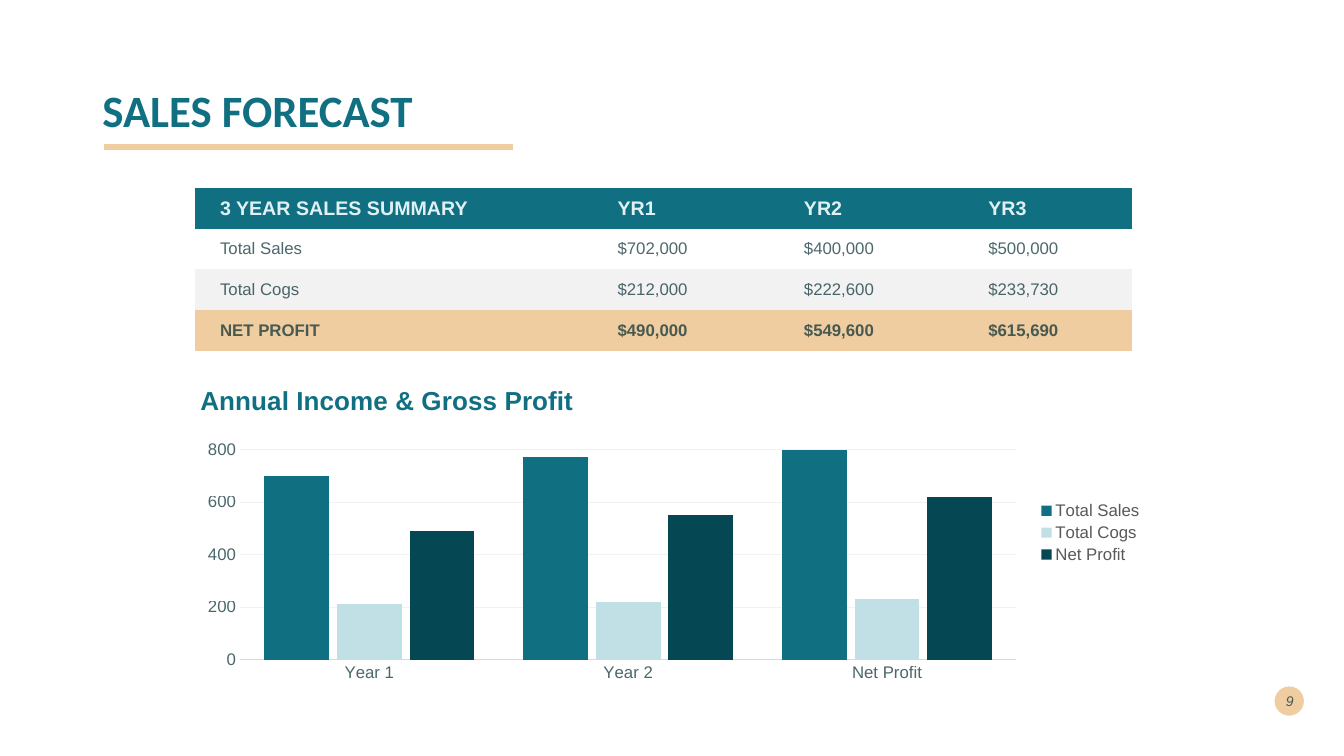
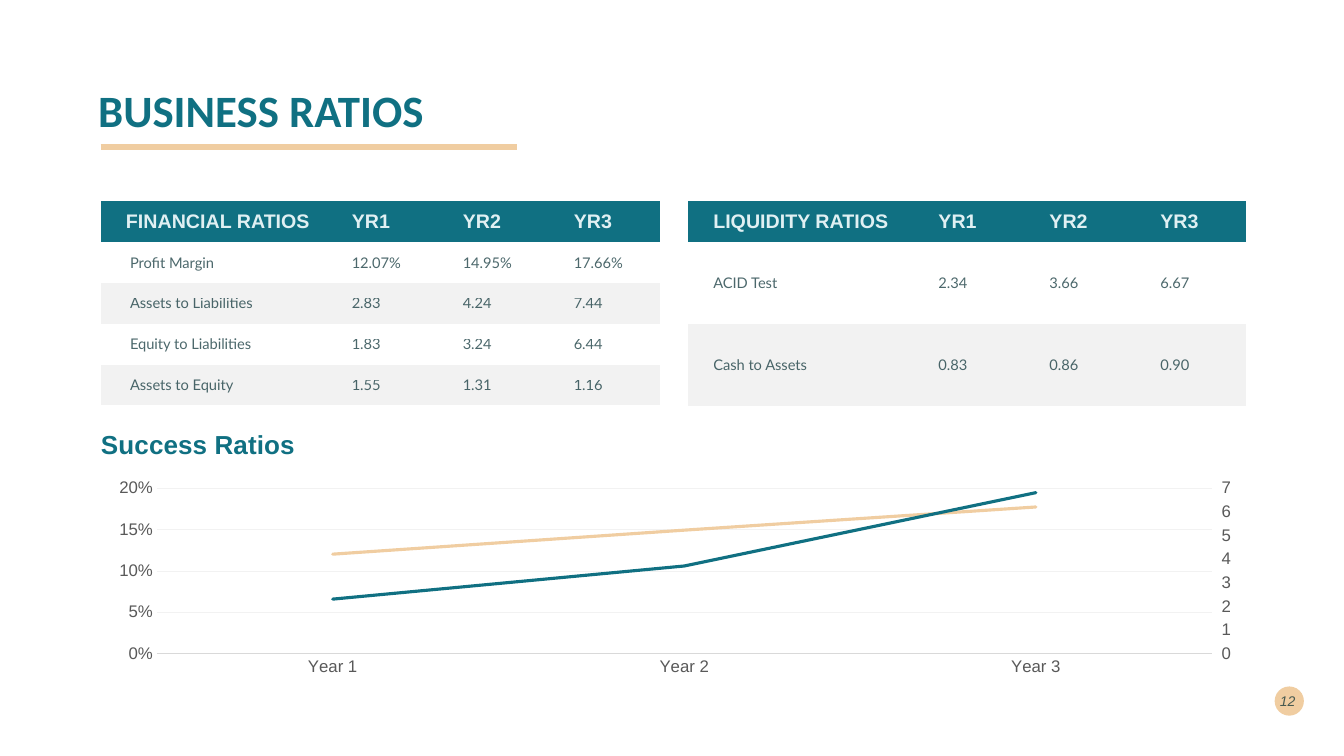
import copy
from dataclasses import dataclass
from typing import Any, Optional

import pptx
import pptx.chart.data
import pptx.dml.color
import pptx.enum.chart
import pptx.enum.shapes
import pptx.enum.text
import pptx.oxml.ns
import pptx.util

WIDE, HIGH = 13.33, 7.5
COLORS = {
    "teal": "107082", "sand": "F0CDA1", "ice": "E0F0F3", "ink": "00292E",
    "pale": "F2F2F2", "white": "FFFFFF", "sky": "C1E0E6", "deep": "054854",
    "gray": "595959", "line": "D9D9D9",
}
PLAIN = "{2D5ABB26-0587-4C30-8999-92F81FD0307C}"
qn = pptx.oxml.ns.qn


@dataclass
class Box:
    """Place and size in percent of the slide."""
    x: float
    y: float
    w: float
    h: float

    def lengths(self) -> tuple:
        return across(self.x), down(self.y), across(self.w), down(self.h)


@dataclass
class Head:
    text: str
    left: float
    start: float
    width: float
    page: str
    tag: float


@dataclass
class Grid:
    x: float
    y: float
    cols: list[float]
    heights: list[float]
    pads: list[float]
    rows: list[list[str]]
    fills: list[str]
    font: str
    size: float
    nudge: float = 0
    right: float = 0
    total: bool = False


@dataclass
class Line:
    name: str
    vals: list[Optional[float]]
    color: str


@dataclass
class Plot:
    kind: Any
    box: Box
    title: str
    spot: tuple[float, float]
    inner: Box
    cats: list[str]
    lines: list[Line]
    top: float
    step: float
    form: str
    ink: str
    alpha: int


def across(share: float) -> int:
    return pptx.util.Inches(WIDE * share / 100)


def down(share: float) -> int:
    return pptx.util.Inches(HIGH * share / 100)


def shade(name: str) -> pptx.dml.color.RGBColor:
    return pptx.dml.color.RGBColor.from_string(COLORS[name])


def paint(fill: Any, name: str) -> None:
    fill.solid()
    fill.fore_color.rgb = shade(name)


def style(font: Any, size: float, color: str, face: str = "Arial",
          bold: bool = False, slant: bool = False, alpha: int = 100) -> None:
    font.size, font.name = pptx.util.Pt(size), face
    font.bold, font.italic = bold, slant
    font.color.rgb = shade(color)
    if alpha < 100:
        tone = font._element.find(".//" + qn("a:srgbClr"))
        tone.append(tone.makeelement(qn("a:alpha"),
                                     {"val": str(alpha * 1000)}))


def write(frame: Any, text: str, align: str = "LEFT", space: float = 1,
          **form: Any) -> None:
    para = frame.paragraphs[0]
    para.alignment = getattr(pptx.enum.text.PP_ALIGN, align)
    para.line_spacing = space
    run = para.add_run()
    run.text = text
    style(run.font, **form)


def label(slide: Any, box: Box, text: str, **form: Any) -> None:
    frame = slide.shapes.add_textbox(*box.lengths()).text_frame
    frame.word_wrap = True
    frame.vertical_anchor = pptx.enum.text.MSO_ANCHOR.MIDDLE
    write(frame, text, **form)


def start(deck: Any, head: Head) -> Any:
    slide = deck.slides.add_slide(deck.slide_layouts[6])
    side = pptx.util.Inches(0.29)
    dot = slide.shapes.add_shape(pptx.enum.shapes.MSO_SHAPE.OVAL,
                                 across(94.84), down(90.8), side, side)
    dot.shadow.inherit = False
    paint(dot.fill, "sand")
    dot.line.fill.background()
    label(slide, Box(head.left, 5.33, 86.25, 19.33), head.text, space=0.9,
          size=32, color="teal", face="Calibri", bold=True)
    label(slide, Box(head.tag, 90, 2.93, 5.33), head.page, align="RIGHT",
          size=10, color="ink", slant=True, alpha=70)
    y = down(19.47)
    rule = slide.shapes.add_connector(
        pptx.enum.shapes.MSO_CONNECTOR.STRAIGHT,
        across(head.start), y, across(head.start + head.width), y)
    paint(rule.line.fill, "sand")
    rule.line.width = pptx.util.Pt(4.32)
    props = rule._element.spPr
    props.append(props.makeelement(qn("a:effectLst"), {}))
    return slide


def tabulate(slide: Any, grid: Grid) -> None:
    box = Box(grid.x, grid.y, sum(grid.cols), sum(grid.heights))
    table = slide.shapes.add_table(
        len(grid.rows), len(grid.cols), *box.lengths()).table
    table.first_row = table.horz_banding = False
    table._tbl.tblPr.find(qn("a:tableStyleId")).text = PLAIN
    for col, width in zip(table.columns, grid.cols):
        col.width = across(width)
    for i, words in enumerate(grid.rows):
        table.rows[i].height = down(grid.heights[i])
        last = grid.total and i == len(grid.rows) - 1
        for j, word in enumerate(words):
            cell = table.cell(i, j)
            pad = grid.pads[j] + (grid.nudge if i and not j else 0)
            cell.margin_left = pptx.util.Inches(pad)
            cell.margin_right = pptx.util.Inches(grid.right)
            cell.margin_top = cell.margin_bottom = 0
            cell.vertical_anchor = pptx.enum.text.MSO_ANCHOR.MIDDLE
            paint(cell.fill, grid.fills[i])
            if i:
                write(cell.text_frame, word, size=grid.size, color="ink",
                      face=grid.font, bold=last, alpha=70)
            else:
                write(cell.text_frame, word, size=14, color="ice", bold=True)


def place(layout: Any, **parts: float) -> None:
    body = layout.makeelement(qn("c:manualLayout"), {})
    layout.append(body)
    if "w" in parts:
        body.append(body.makeelement(qn("c:layoutTarget"), {"val": "inner"}))
    for key in ("x", "y"):
        body.append(body.makeelement(qn(f"c:{key}Mode"), {"val": "edge"}))
    for key, share in parts.items():
        body.append(body.makeelement(qn(f"c:{key}"),
                                     {"val": str(share / 100)}))


def layout(owner: Any, index: int) -> Any:
    found = owner.find(qn("c:layout"))
    if found is None:
        found = owner.makeelement(qn("c:layout"), {})
        owner.insert(index, found)
    return found


def chart(slide: Any, plot: Plot) -> Any:
    data = pptx.chart.data.CategoryChartData()
    data.categories = plot.cats
    for line in plot.lines:
        data.add_series(line.name, line.vals)
    made = slide.shapes.add_chart(plot.kind, *plot.box.lengths(), data).chart
    style(made.font, 10, "ink")
    made.has_legend = False
    made.has_title = True
    write(made.chart_title.text_frame, plot.title, size=18.6, color="teal",
          bold=True)
    place(layout(made.chart_title._element, 1), x=plot.spot[0],
          y=plot.spot[1])
    place(layout(made._chartSpace.chart.plotArea, 0), x=plot.inner.x,
          y=plot.inner.y, w=plot.inner.w, h=plot.inner.h)
    made.plots[0].vary_by_categories = False
    cat, val = made.category_axis, made.value_axis
    for axis in (cat, val):
        style(axis.tick_labels.font, 12, plot.ink, alpha=plot.alpha)
        axis.major_tick_mark = pptx.enum.chart.XL_TICK_MARK.NONE
        axis.minor_tick_mark = pptx.enum.chart.XL_TICK_MARK.NONE
    paint(cat.format.line.fill, "line")
    cat.format.line.width = pptx.util.Pt(0.75)
    val.format.line.fill.background()
    val.minimum_scale, val.maximum_scale = 0, plot.top
    val.major_unit = plot.step
    val.tick_labels.number_format = plot.form
    val.tick_labels.number_format_is_linked = False
    val.has_major_gridlines = True
    mesh = val.major_gridlines.format.line
    paint(mesh.fill, "pale")
    mesh.width = pptx.util.Pt(0.25)
    return made


def bars(slide: Any, plot: Plot) -> None:
    made = chart(slide, plot)
    made.plots[0].gap_width, made.plots[0].overlap = 75, -12
    for item, line in zip(made.plots[0].series, plot.lines):
        paint(item.format.fill, line.color)
    made.has_legend = True
    made.legend.position = pptx.enum.chart.XL_LEGEND_POSITION.RIGHT
    made.legend.include_in_layout = False
    style(made.legend.font, 12, "gray")


def trends(slide: Any, plot: Plot, top: float, step: float) -> None:
    made = chart(slide, plot)
    for item, line in zip(made.plots[0].series, plot.lines):
        item.smooth = False
        paint(item.format.line.fill, line.color)
        item.format.line.width = pptx.util.Pt(2.25)
        item._element.find(".//" + qn("a:ln")).set("cap", "rnd")
    area = made._chartSpace.chart.plotArea
    first = area.find(qn("c:lineChart"))
    other = copy.deepcopy(first)
    first.remove(first.findall(qn("c:ser"))[-1])
    for item in other.findall(qn("c:ser"))[:-1]:
        other.remove(item)
    first.addnext(other)
    ids = ["5001", "5002"]
    for node, name in zip(other.findall(qn("c:axId")), ids):
        node.set("val", name)
    val = copy.deepcopy(area.find(qn("c:valAx")))
    cat = copy.deepcopy(area.find(qn("c:catAx")))
    area.findall(qn("c:valAx"))[-1].addnext(val)
    val.addnext(cat)
    val.remove(val.find(qn("c:majorGridlines")))
    swaps = [
        (cat, {"axId": ids[0], "crossAx": ids[1], "delete": "1"}),
        (val, {"axId": ids[1], "crossAx": ids[0], "axPos": "r",
               "crosses": "max", "majorUnit": str(step),
               "majorTickMark": "out"}),
    ]
    for axis, values in swaps:
        for key, value in values.items():
            axis.find(qn(f"c:{key}")).set("val", value)
    val.find(qn("c:scaling")).find(qn("c:max")).set("val", str(top))
    val.find(qn("c:numFmt")).set("formatCode", "0")


def sales(deck: Any) -> None:
    slide = start(deck, Head("SALES FORECAST", 6.88, 7.73, 30.45, "9", 94.05))
    tabulate(slide, Grid(
        14.5, 24.85, [28.6] + [13.72] * 3, [5.4] * 4,
        [0.25, 0.38, 0.4, 0.4],
        [["3 YEAR SALES SUMMARY", "YR1", "YR2", "YR3"],
         ["Total Sales", "$702,000", "$400,000", "$500,000"],
         ["Total Cogs", "$212,000", "$222,600", "$233,730"],
         ["NET PROFIT", "$490,000", "$549,600", "$615,690"]],
        ["teal", "white", "pale", "sand"], "Arial", 12, total=True))
    bars(slide, Plot(
        pptx.enum.chart.XL_CHART_TYPE.COLUMN_CLUSTERED,
        Box(14.05, 50, 71.78, 40.93), "Annual Income & Gross Profit",
        (0.7, 0.2), Box(5.3, 23.15, 80.5, 67.9),
        ["Year 1", "Year 2", "Net Profit"],
        [Line("Total Sales", [700, 770, 850], "teal"),
         Line("Total Cogs", [210, 220, 230], "sky"),
         Line("Net Profit", [490, 550, 620], "deep")],
        800, 200, "0", "ink", 70))


def ratios(deck: Any) -> None:
    slide = start(deck, Head("BUSINESS RATIOS", 6.57, 7.48, 31, "12", 94.2))
    years = ["YR1", "YR2", "YR3"]
    cols, pads = [16.8] + [8.26] * 3, [0.25] * 4
    tabulate(slide, Grid(
        7.5, 26.6, cols, [5.41] * 5, pads,
        [["FINANCIAL RATIOS", *years],
         ["Profit Margin", "12.07%", "14.95%", "17.66%"],
         ["Assets to Liabilities", "2.83", "4.24", "7.44"],
         ["Equity to Liabilities", "1.83", "3.24", "6.44"],
         ["Assets to Equity", "1.55", "1.31", "1.16"]],
        ["teal"] + ["white", "pale"] * 2, "Lato", 10.5, 0.04, 0.1))
    tabulate(slide, Grid(
        51.2, 26.6, [16.75, *cols[1:]], [5.41, 10.82, 10.82], pads,
        [["LIQUIDITY RATIOS", *years],
         ["ACID Test", "2.34", "3.66", "6.67"],
         ["Cash to Assets", "0.83", "0.86", "0.90"]],
        ["teal", "white", "pale"], "Lato", 10.5, right=0.1))
    trends(slide, Plot(
        pptx.enum.chart.XL_CHART_TYPE.LINE, Box(7.1, 55.33, 86.25, 34.8),
        "Success Ratios", (0.07, 1.7), Box(5.3, 26.5, 91, 63),
        ["Year 1", "Year 2", "Year 3"],
        [Line("Series 1", [0.12, 0.149, 0.177], "sand"),
         Line("Series 2", [1, None, None], "deep"),
         Line("Series 3", [2.3, 3.7, 6.8], "teal")],
        0.2, 0.05, "0%", "gray", 100), 7, 1)


def main() -> None:
    deck = pptx.Presentation()
    deck.slide_width = pptx.util.Inches(WIDE)
    deck.slide_height = pptx.util.Inches(HIGH)
    sales(deck)
    ratios(deck)
    deck.save("out.pptx")


if __name__ == "__main__":
    main()
